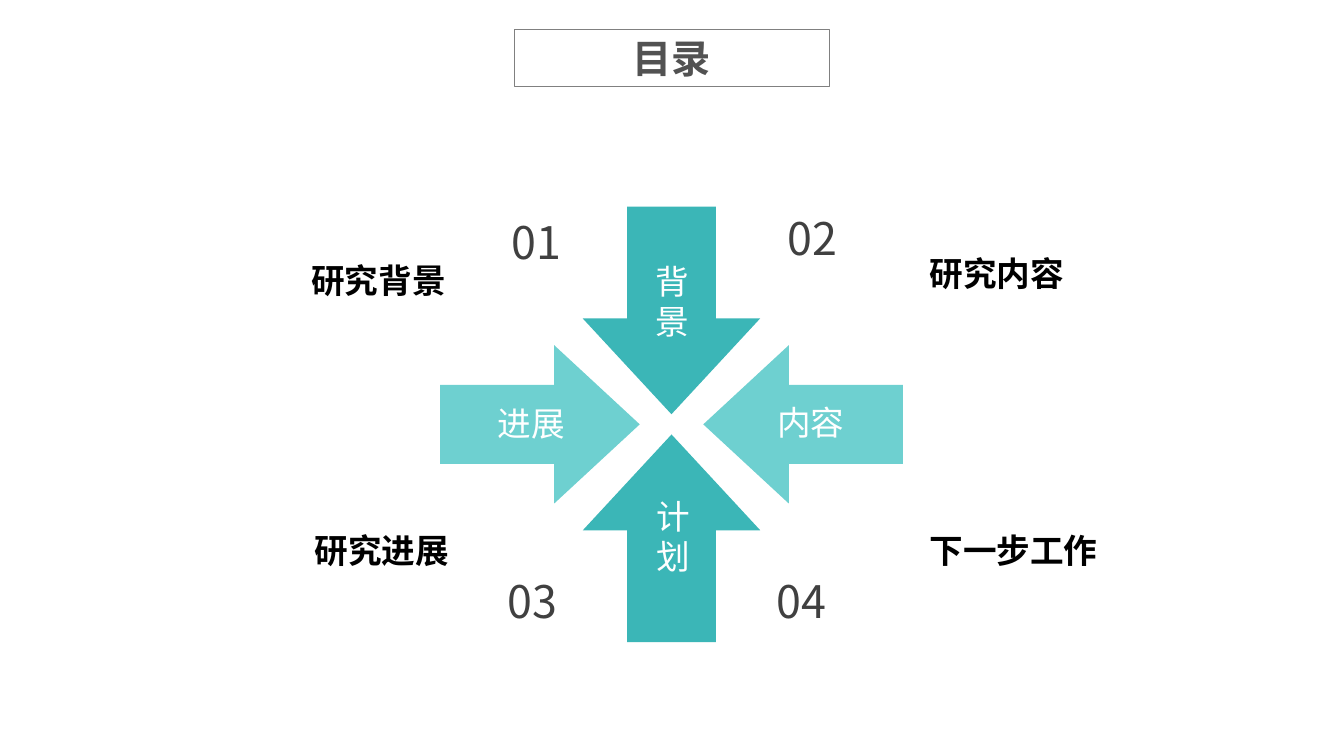
from lxml.etree import SubElement
from pptx import Presentation
from pptx.dml.color import RGBColor
from pptx.enum.shapes import MSO_SHAPE
from pptx.enum.text import MSO_ANCHOR, MSO_AUTO_SIZE, PP_ALIGN
from pptx.oxml.ns import qn
from pptx.util import Emu, Pt

TEAL = RGBColor(0x3B, 0xB6, 0xB7)
AQUA = RGBColor(0x6E, 0xD0, 0xD0)
WHITE = RGBColor(0xFF, 0xFF, 0xFF)
BLACK = RGBColor(0x00, 0x00, 0x00)
CHARCOAL = RGBColor(0x40, 0x40, 0x40)
TITLE_GRAY = RGBColor(0x52, 0x52, 0x52)
BORDER_GRAY = RGBColor(0x80, 0x80, 0x80)

EMU_PER_PX = 9144  # 100 px to the inch
TITLE_ONLY = 5


def px(*lengths):
    return [Emu(length * EMU_PER_PX) for length in lengths]


class AgendaSlide:
    font = "Noto Sans CJK SC"

    def __init__(self, deck):
        self.page = deck.slides.add_slide(deck.slide_layouts[TITLE_ONLY])

    def fill_text(self, box, words, size, color, bold=False,
                  align=PP_ALIGN.LEFT):
        frame = box.text_frame
        frame.word_wrap = True
        frame.auto_size = MSO_AUTO_SIZE.NONE
        para = frame.paragraphs[0]
        para.alignment = align
        span = para.add_run()
        span.text = words
        span.font.name = self.font
        span.font.size = Pt(size)
        span.font.bold = bold
        span.font.color.rgb = color
        east_asian = SubElement(span.font._element, qn("a:ea"))
        east_asian.set("typeface", self.font)

    def title(self, words, left, top, width, height):
        box = self.page.shapes.title
        box.left, box.top, box.width, box.height = px(left, top, width, height)
        box.line.color.rgb = BORDER_GRAY
        box.line.width = Pt(0.75)
        self.fill_text(box, words, 28, TITLE_GRAY, True, PP_ALIGN.CENTER)
        box.text_frame.vertical_anchor = MSO_ANCHOR.MIDDLE

    def arrow(self, left, top, width, height, turn, color):
        shape = self.page.shapes.add_shape(
            MSO_SHAPE.DOWN_ARROW, *px(left, top, width, height))
        shape.adjustments[0] = 0.5
        shape.adjustments[1] = 0.54
        shape.rotation = turn
        shape.shadow.inherit = False
        shape.fill.solid()
        shape.fill.fore_color.rgb = color
        shape.line.fill.background()

    def text(self, words, left, top, width, height, size, color, **style):
        box = self.page.shapes.add_textbox(*px(left, top, width, height))
        self.fill_text(box, words, size, color, **style)


def main():
    deck = Presentation()
    deck.slide_width, deck.slide_height = px(1333, 750)
    agenda = AgendaSlide(deck)
    agenda.title("目录", 510, 29, 313, 57)

    for top, turn in ((205, 0), (431, 180)):
        agenda.arrow(578, top, 176, 206, turn, TEAL)
    for left, turn in ((457, 270), (718, 90)):
        agenda.arrow(left, 322, 157, 198, turn, AQUA)

    for words, left, top in (("进展", 472, 395), ("内容", 749, 394)):
        agenda.text(words, left, top, 110, 50, 24, WHITE, align=PP_ALIGN.CENTER)
    # Boxes one character wide stack the words vertically
    for words, left, top in (("背景", 640, 254), ("计划", 641, 487)):
        agenda.text(words, left, top, 54, 91, 24, WHITE)

    for number, left, top in (("01", 494, 208), ("02", 768, 204),
                              ("03", 490, 564), ("04", 757, 564)):
        agenda.text(number, left, top, 76, 64, 32, CHARCOAL,
                    align=PP_ALIGN.CENTER)

    for topic, left, top in (("研究背景", 299, 253), ("研究内容", 912, 246),
                             ("研究进展", 302, 521), ("下一步工作", 912, 521)):
        agenda.text(topic, left, top, 198, 50, 24, BLACK, bold=True)

    deck.save("out.pptx")


if __name__ == "__main__":
    main()
